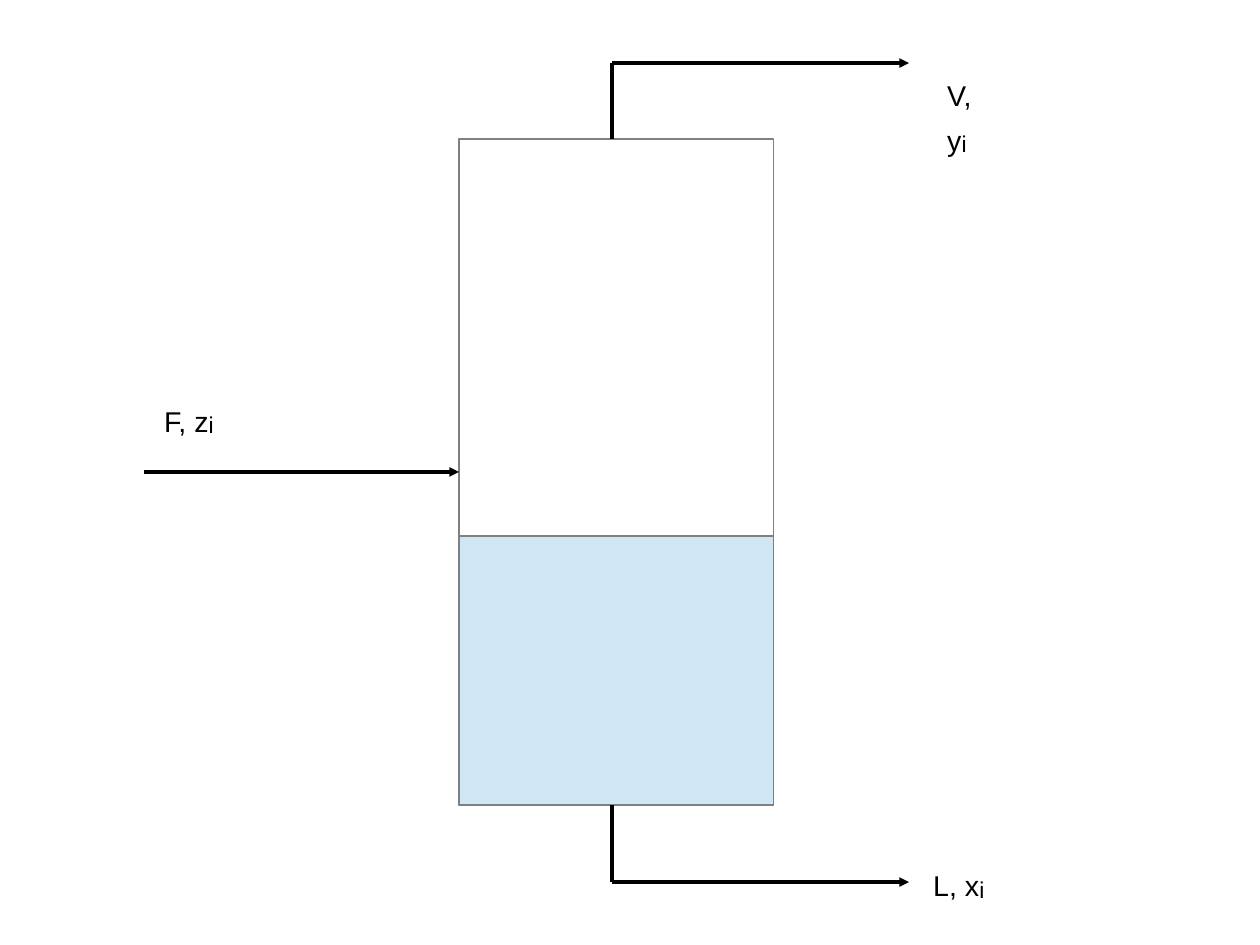
"""Build a slide showing a flash drum with feed, vapour and liquid streams."""
from lxml import etree
from pptx import Presentation
from pptx.dml.color import RGBColor
from pptx.enum.shapes import MSO_CONNECTOR, MSO_SHAPE
from pptx.enum.text import MSO_AUTO_SIZE
from pptx.oxml.ns import qn
from pptx.util import Pt

PX = 8000
RECTANGLE = MSO_SHAPE.RECTANGLE
STRAIGHT = MSO_CONNECTOR.STRAIGHT
FIT_SHAPE = MSO_AUTO_SIZE.SHAPE_TO_FIT_TEXT


def color(value):
    return RGBColor.from_string(value)


def px(*lengths):
    return [length * PX for length in lengths]


presentation = Presentation()
presentation.slide_width, presentation.slide_height = px(1260, 945)
slide = presentation.slides.add_slide(presentation.slide_layouts[6])

drum_left, drum_top, drum_width, drum_bottom = 459, 139, 315, 805
liquid_top = 536
feed_y = 472
outlet_x, outlet_end = 612, 909
vapour_y, liquid_y = 63, 882

for top, fill in [(drum_top, "FFFFFF"), (liquid_top, "CFE7F5")]:
    shape = slide.shapes.add_shape(
        RECTANGLE, *px(drum_left, top, drum_width, drum_bottom - top))
    shape.shadow.inherit = False
    shape.fill.solid()
    shape.fill.fore_color.rgb = color(fill)
    shape.line.color.rgb = color("808080")
    shape.line.width = 0

streams = [
    (144, feed_y, drum_left, feed_y, True),
    (outlet_x, drum_bottom, outlet_x, liquid_y, False),
    (outlet_x, vapour_y, outlet_x, drum_top, False),
    (outlet_x, liquid_y, outlet_end, liquid_y, True),
    (outlet_x, vapour_y, outlet_end, vapour_y, True),
]
for *ends, has_arrow in streams:
    connector = slide.shapes.add_connector(STRAIGHT, *px(*ends))
    connector.line.color.rgb = color("000000")
    connector.line.width = 0
    properties = connector._element.spPr
    if has_arrow:
        line = properties.find(qn("a:ln"))
        etree.SubElement(line, qn("a:tailEnd"), type="triangle")
    etree.SubElement(properties, qn("a:effectLst"))

labels = [
    (936, 72, "V, y"),
    (922, 852, "L, x"),
    (153, 387, "F, z"),
]
for left, top, text in labels:
    box = slide.shapes.add_textbox(*px(left, top, 74, 48))
    box.text_frame.word_wrap = False
    box.text_frame.auto_size = FIT_SHAPE
    paragraph = box.text_frame.paragraphs[0]
    for content, size in [(text, 18), ("i", 24.8)]:
        run = paragraph.add_run()
        run.text = content
        font_format = {"name": "Arial", "size": Pt(size)}
        for attribute, value in font_format.items():
            setattr(run.font, attribute, value)
        run.font.color.rgb = color("000000")
    run.font._element.set("baseline", "-4000")

presentation.save("out.pptx")
